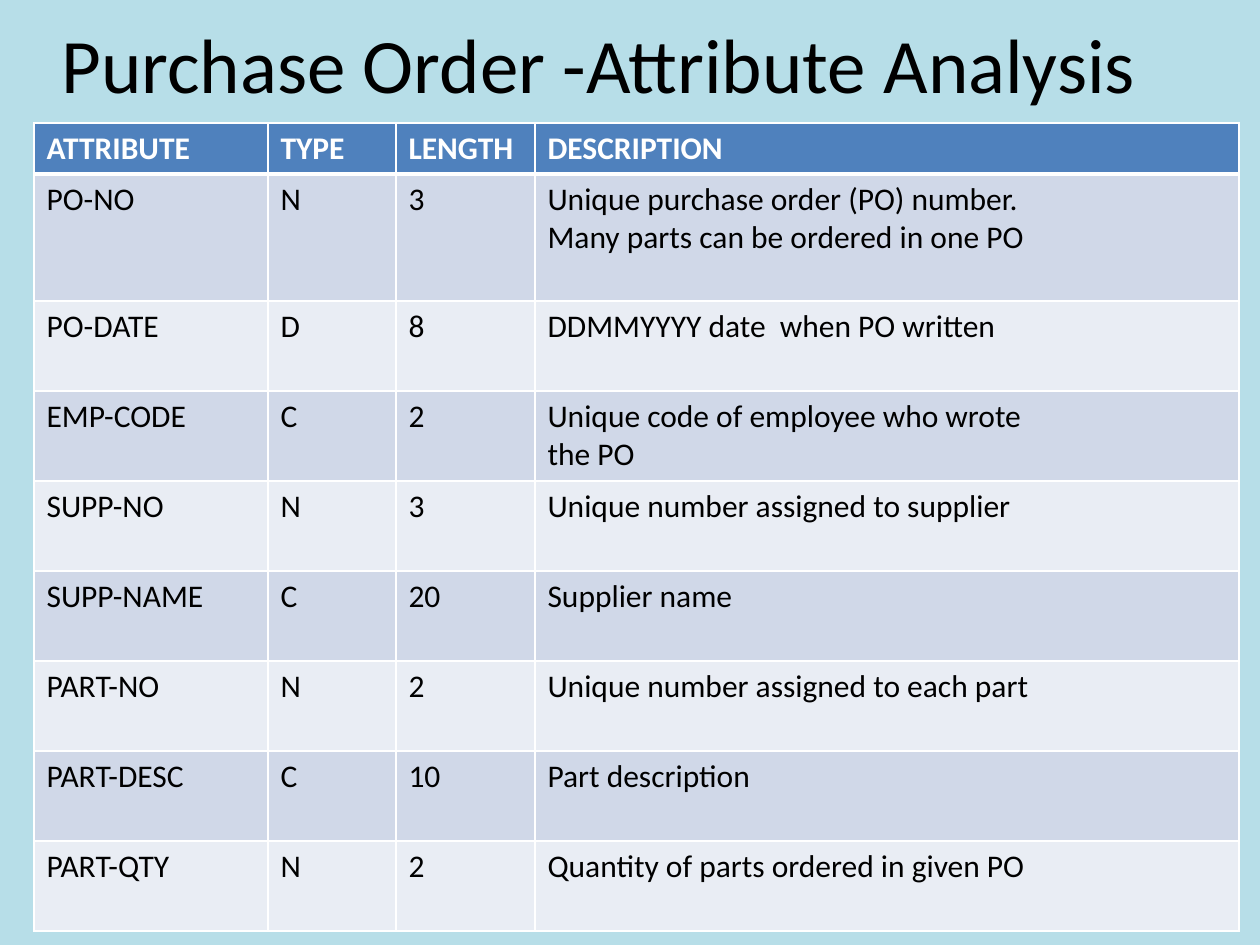
from typing import NamedTuple

from lxml import etree
from pptx import Presentation
from pptx import util as u
from pptx.dml.color import RGBColor
from pptx.enum import text
from pptx.oxml.ns import qn

PX = u.Inches(1) // 126
FONT = "Calibri"
BACKGROUND = RGBColor(0xB7, 0xDE, 0xE8)
HEADER_BLUE = RGBColor(0x4F, 0x81, 0xBD)
BAND_DARK = RGBColor(0xD0, 0xD8, 0xE8)
BAND_LIGHT = RGBColor(0xE9, 0xED, 0xF4)
WHITE = RGBColor(0xFF, 0xFF, 0xFF)
BLACK = RGBColor(0, 0, 0)


class Attribute(NamedTuple):
    name: str
    type_code: str
    length: str
    description: str


HEADINGS = Attribute("ATTRIBUTE", "TYPE", "LENGTH", "DESCRIPTION")
ATTRIBUTES = [
    Attribute("PO-NO", "N", "3",
              "Unique purchase order (PO) number.\nMany parts can be ordered in one PO"),
    Attribute("PO-DATE", "D", "8", "DDMMYYYY date  when PO written"),
    Attribute("EMP-CODE", "C", "2", "Unique code of employee who wrote\nthe PO"),
    Attribute("SUPP-NO", "N", "3", "Unique number assigned to supplier"),
    Attribute("SUPP-NAME", "C", "20", "Supplier name"),
    Attribute("PART-NO", "N", "2", "Unique number assigned to each part"),
    Attribute("PART-DESC", "C", "10", "Part description"),
    Attribute("PART-QTY", "N", "2", "Quantity of parts ordered in given PO"),
]
COLUMN_WIDTHS = [234, 128, 139, 704]
ROW_HEIGHTS = [51, 127] + [90] * (len(ATTRIBUTES) - 1)


def format_text(frame, size: int, color: RGBColor, bold: bool = False) -> None:
    for paragraph in frame.paragraphs:
        for run in paragraph.runs:
            run.font.name = FONT
            run.font.size = u.Pt(size)
            run.font.bold = bold
            run.font.color.rgb = color


def add_borders(cell, top: int, bottom: int) -> None:
    """Draw white cell borders, with top and bottom widths in points."""
    properties = cell._tc.get_or_add_tcPr()
    for side, width in (("L", 1), ("R", 1), ("T", top), ("B", bottom)):
        line = etree.SubElement(properties, qn(f"a:ln{side}"), w=str(u.Pt(width)))
        fill = etree.SubElement(line, qn("a:solidFill"))
        etree.SubElement(fill, qn("a:srgbClr"), val=str(WHITE))


def add_title(slide, wording: str) -> None:
    title = slide.shapes.title
    title.left, title.top, title.width, title.height = (
        n * PX for n in (32, 2, 1134, 122))
    title.text_frame.text = wording
    title.text_frame.vertical_anchor = text.MSO_ANCHOR.MIDDLE
    title.text_frame.paragraphs[0].alignment = text.PP_ALIGN.CENTER
    format_text(title.text_frame, 44, BLACK)


def fill_row(table, row: int, attribute: Attribute) -> None:
    is_header = row == 0
    band = HEADER_BLUE if is_header else BAND_DARK if row % 2 else BAND_LIGHT
    for column, wording in enumerate(attribute):
        cell = table.cell(row, column)
        add_borders(cell, top=3 if row == 1 else 1, bottom=3 if is_header else 1)
        cell.fill.solid()
        cell.fill.fore_color.rgb = band
        cell.text_frame.text = wording
        format_text(cell.text_frame, 18, WHITE if is_header else BLACK, is_header)


def add_attribute_table(slide) -> None:
    table = slide.shapes.add_table(
        len(ROW_HEIGHTS), len(COLUMN_WIDTHS), 34 * PX, 123 * PX,
        sum(COLUMN_WIDTHS) * PX, sum(ROW_HEIGHTS) * PX).table
    for column, width in zip(table.columns, COLUMN_WIDTHS):
        column.width = width * PX
    for row, height in zip(table.rows, ROW_HEIGHTS):
        row.height = height * PX
    for row, attribute in enumerate([HEADINGS, *ATTRIBUTES]):
        fill_row(table, row, attribute)


def main() -> None:
    deck = Presentation()
    deck.slide_width, deck.slide_height = 1260 * PX, 945 * PX
    slide = deck.slides.add_slide(deck.slide_layouts.get_by_name("Title Only"))
    slide.background.fill.solid()
    slide.background.fill.fore_color.rgb = BACKGROUND
    add_title(slide, "Purchase Order -Attribute Analysis")
    add_attribute_table(slide)
    deck.save("out.pptx")


if __name__ == "__main__":
    main()
